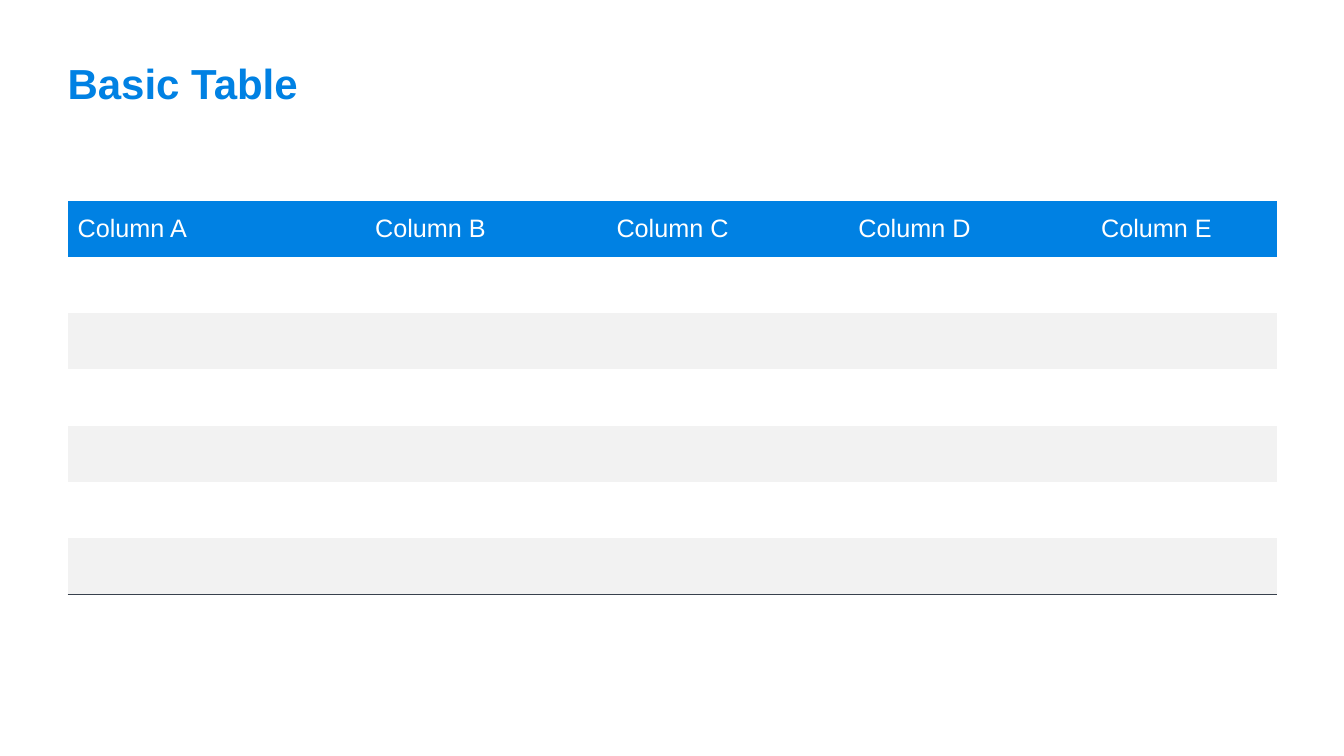
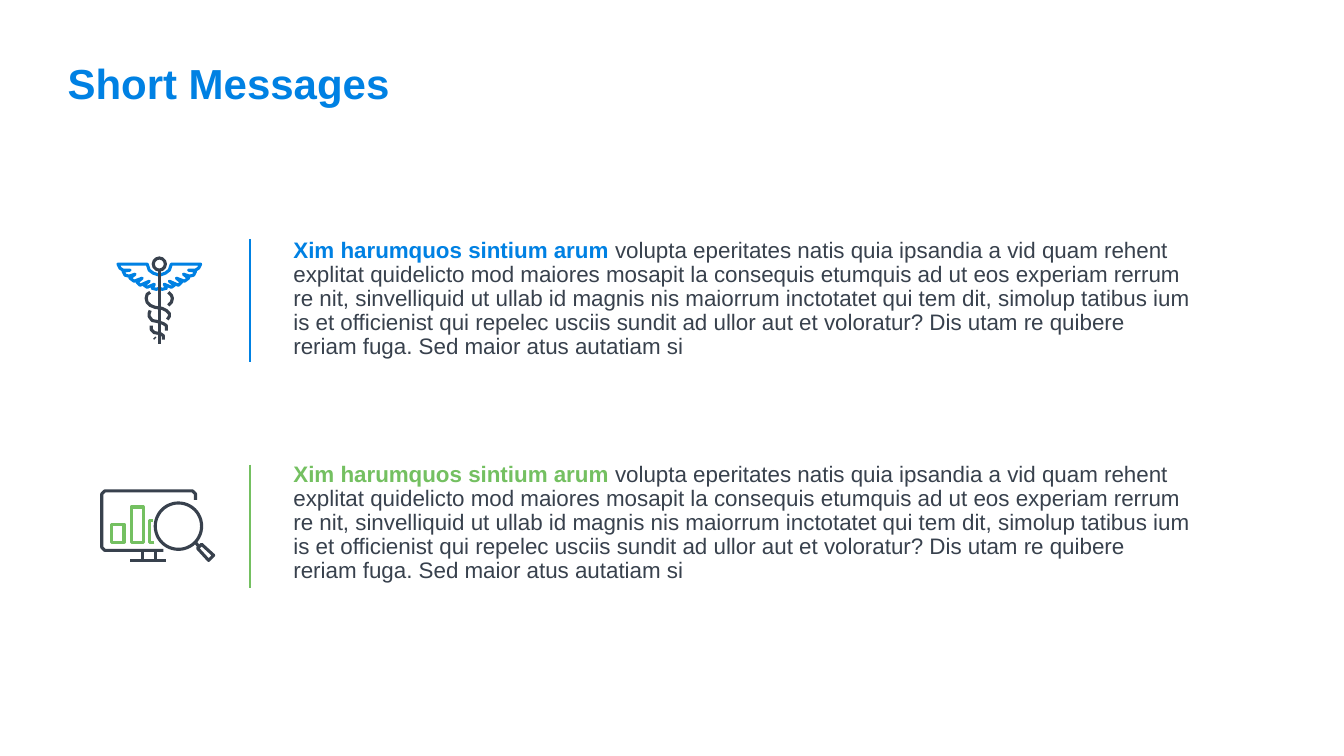
import pptx
import pptx.dml.color
import pptx.enum.shapes
import pptx.enum.text
import pptx.oxml
import pptx.oxml.ns
import pptx.util
from pptx.util import Inches

BLUE, GREEN, DARK, WHITE, BAND = "0081E3", "74C061", "38414D", "FFFFFF", "F2F2F2"
ANCHOR = pptx.enum.text.MSO_ANCHOR
ALIGN = pptx.enum.text.PP_ALIGN
SHAPE = pptx.enum.shapes.MSO_SHAPE
NO_GRID_STYLE = "{2D5ABB26-0587-4C30-8999-92F81FD0307C}"
LEAD = "Xim harumquos sintium arum "
MESSAGE = (
    "volupta eperitates natis quia ipsandia a vid quam rehent explitat quidelicto "
    "mod maiores mosapit la consequis etumquis ad ut eos experiam rerrum re nit, "
    "sinvelliquid ut ullab id magnis nis maiorrum inctotatet qui tem dit, simolup "
    "tatibus ium is et officienist qui repelec usciis sundit ad ullor aut et "
    "voloratur? Dis utam re quibere reriam fuga. Sed maior atus autatiam si"
)


def color(value):
    return pptx.dml.color.RGBColor.from_string(value)


def assign(target, values):
    for name, value in values.items():
        setattr(target, name, value)


class Deck:
    font = "Arial"
    left, width = 0.67, 12
    stroke = 2.25

    def __init__(self):
        self.deck = pptx.Presentation()
        assign(self.deck, {"slide_width": Inches(13.33), "slide_height": Inches(7.5)})
        self.page = None

    def place(self, box, left, top, width, height):
        assign(box, {"left": Inches(left), "top": Inches(top),
                     "width": Inches(width), "height": Inches(height)})

    def frame(self, box, **values):
        margins = dict.fromkeys(
            ("margin_left", "margin_top", "margin_right", "margin_bottom"), 0)
        assign(box.text_frame, {**margins, "word_wrap": True, **values})
        return box.text_frame.paragraphs[0]

    def add_text(self, para, text, size, fill, bold=False):
        span = para.add_run()
        span.text = text
        assign(span.font, {"name": self.font, "size": pptx.util.Pt(size), "bold": bold})
        span.font.color.rgb = color(fill)

    def add_page(self, title):
        self.page = self.deck.slides.add_slide(self.deck.slide_layouts[5])
        box = self.page.shapes.title
        self.place(box, self.left, 0.57, self.width, 0.45)
        para = self.frame(box, vertical_anchor=ANCHOR.TOP,
                          auto_size=pptx.enum.text.MSO_AUTO_SIZE.NONE)
        para.alignment = ALIGN.LEFT
        self.add_text(para, title, 30, BLUE, True)

    def add_table(self, headings, row_count, top, height):
        table = self.page.shapes.add_table(
            row_count, len(headings), Inches(self.left), Inches(top),
            Inches(self.width), Inches(height)).table
        table.horz_banding = False
        table._tbl.tblPr.find(pptx.oxml.ns.qn("a:tableStyleId")).text = NO_GRID_STYLE
        for row in range(row_count):
            for column, heading in enumerate(headings):
                cell = table.cell(row, column)
                cell.vertical_anchor = ANCHOR.MIDDLE
                if row % 2:
                    cell.fill.background()
                else:
                    cell.fill.solid()
                    cell.fill.fore_color.rgb = color(BAND if row else BLUE)
                if row == 0:
                    para = cell.text_frame.paragraphs[0]
                    para.alignment = ALIGN.CENTER if column else ALIGN.LEFT
                    self.add_text(para, heading, 18, WHITE)
                if row == row_count - 1:
                    self.add_bottom_border(cell)

    def add_bottom_border(self, cell):
        border = pptx.oxml.parse_xml(
            f'<a:lnB {pptx.oxml.ns.nsdecls("a")} w="12700"><a:solidFill>'
            f'<a:srgbClr val="{DARK}"/></a:solidFill></a:lnB>')
        cell._tc.get_or_add_tcPr().insert(0, border)

    def add_message(self, top, accent):
        box = self.page.shapes.add_textbox(
            Inches(2.91), Inches(top), Inches(8.91), Inches(1.22))
        para = self.frame(box, auto_size=pptx.enum.text.MSO_AUTO_SIZE.SHAPE_TO_FIT_TEXT)
        assign(para, {"line_spacing": 0.9, "space_before": pptx.util.Pt(12)})
        self.add_text(para, LEAD, 16, accent, True)
        self.add_text(para, MESSAGE, 16, DARK)

    def add_line(self, start, end, line, width=stroke):
        rule = self.page.shapes.add_connector(
            pptx.enum.shapes.MSO_CONNECTOR.STRAIGHT, *map(Inches, start + end))
        rule.line.color.rgb = color(line)
        rule.line.width = pptx.util.Pt(width)
        rule._element.spPr.append(
            pptx.oxml.parse_xml(f'<a:effectLst {pptx.oxml.ns.nsdecls("a")}/>'))

    def outline(self, shape, line):
        shape.shadow.inherit = False
        shape.fill.background()
        shape.line.color.rgb = color(line)
        shape.line.width = pptx.util.Pt(self.stroke)

    def add_outline(self, kind, left, top, width, height, line):
        shape = self.page.shapes.add_shape(
            kind, *map(Inches, (left, top, width, height)))
        self.outline(shape, line)

    def add_stroke(self, points, line, close=False):
        points = [(Inches(x), Inches(y)) for x, y in points]
        builder = self.page.shapes.build_freeform(*points[0])
        builder.add_line_segments(points[1:], close=close)
        self.outline(builder.convert_to_shape(), line)

    def add_staff_icon(self):
        center = 1.58
        wing = [(0, 2.73), (0.06, 2.71), (0.1, 2.68), (0.12, 2.62), (0.41, 2.62),
                (0.39, 2.66), (0.36, 2.68), (0.29, 2.68), (0.36, 2.69),
                (0.34, 2.73), (0.3, 2.74), (0.24, 2.72), (0.29, 2.76),
                (0.25, 2.79), (0.17, 2.76), (0.22, 2.8), (0.19, 2.83),
                (0.1, 2.79), (0.15, 2.83), (0.12, 2.85), (0.05, 2.82),
                (0.07, 2.86), (0.03, 2.87), (0, 2.86)]
        for side in (-1, 1):
            self.add_stroke([(center + side * x, y) for x, y in wing], BLUE)
        coils = [
            [(1.49, 2.9), (1.46, 2.92), (1.45, 2.96), (1.46, 3), (1.49, 3.03),
             (1.54, 3.05), (1.61, 3.06), (1.65, 3.08), (1.68, 3.11),
             (1.68, 3.14), (1.66, 3.17)],
            [(1.49, 3.08), (1.48, 3.11), (1.48, 3.14), (1.51, 3.18),
             (1.56, 3.19), (1.62, 3.21), (1.65, 3.23), (1.65, 3.28)],
            [(1.5, 3.23), (1.5, 3.27), (1.53, 3.3), (1.59, 3.31),
             (1.62, 3.33), (1.62, 3.37)],
            [(1.67, 2.9), (1.7, 2.93), (1.71, 2.96), (1.7, 3), (1.67, 3.03)],
            [(1.53, 3.35), (1.54, 3.36)],
        ]
        for coil in coils:
            self.add_stroke(coil, DARK)
        self.add_outline(SHAPE.OVAL, center - 0.06, 2.56, 0.12, 0.12, DARK)
        self.add_line((center, 2.68), (center, 3.41), DARK)

    def add_monitor_icon(self):
        screen = [(1.62, 5.46), (1.04, 5.46), (1.01, 5.43), (1.01, 4.9),
                  (1.04, 4.87), (1.91, 4.87), (1.94, 4.9), (1.94, 4.96)]
        handle = [(1.96, 5.44), (2, 5.4), (2.12, 5.51), (2.07, 5.56)]
        self.add_stroke(screen, DARK)
        self.add_outline(SHAPE.RECTANGLE, 1.41, 5.46, 0.13, 0.1, DARK)
        self.add_line((1.29, 5.56), (1.65, 5.56), DARK)
        for left, top in ((1.11, 5.2), (1.3, 5.03)):
            self.add_outline(SHAPE.RECTANGLE, left, top, 0.12, 5.38 - top, GREEN)
        self.add_stroke([(1.53, 5.38), (1.48, 5.38), (1.48, 5.16), (1.52, 5.16)], GREEN)
        self.add_outline(SHAPE.OVAL, 1.54, 4.99, 0.46, 0.46, DARK)
        self.add_stroke(handle, DARK, close=True)
        self.add_line((1.93, 5.37), (1.97, 5.42), DARK)


def main():
    show = Deck()
    show.add_page("Basic Table")
    show.add_table([f"Column {letter}" for letter in "ABCDE"], 7, 1.99, 3.91)

    show.add_page("Short Messages")
    show.add_staff_icon()
    show.add_monitor_icon()
    for text_top, rule_top, accent in ((2.37, 2.37, BLUE), (4.59, 4.61, GREEN)):
        show.add_message(text_top, accent)
        show.add_line((2.48, rule_top), (2.48, rule_top + 1.22), accent, 1.5)
    show.deck.save("out.pptx")


if __name__ == "__main__":
    main()
